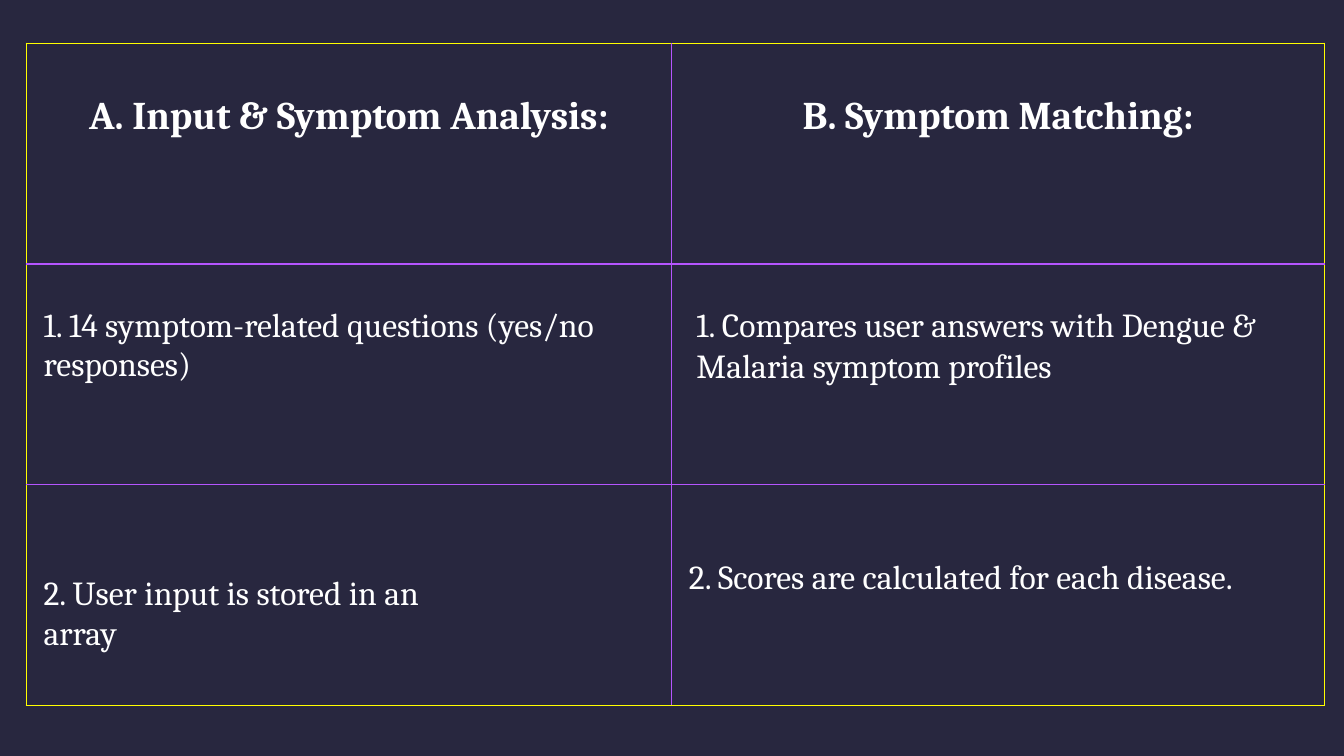
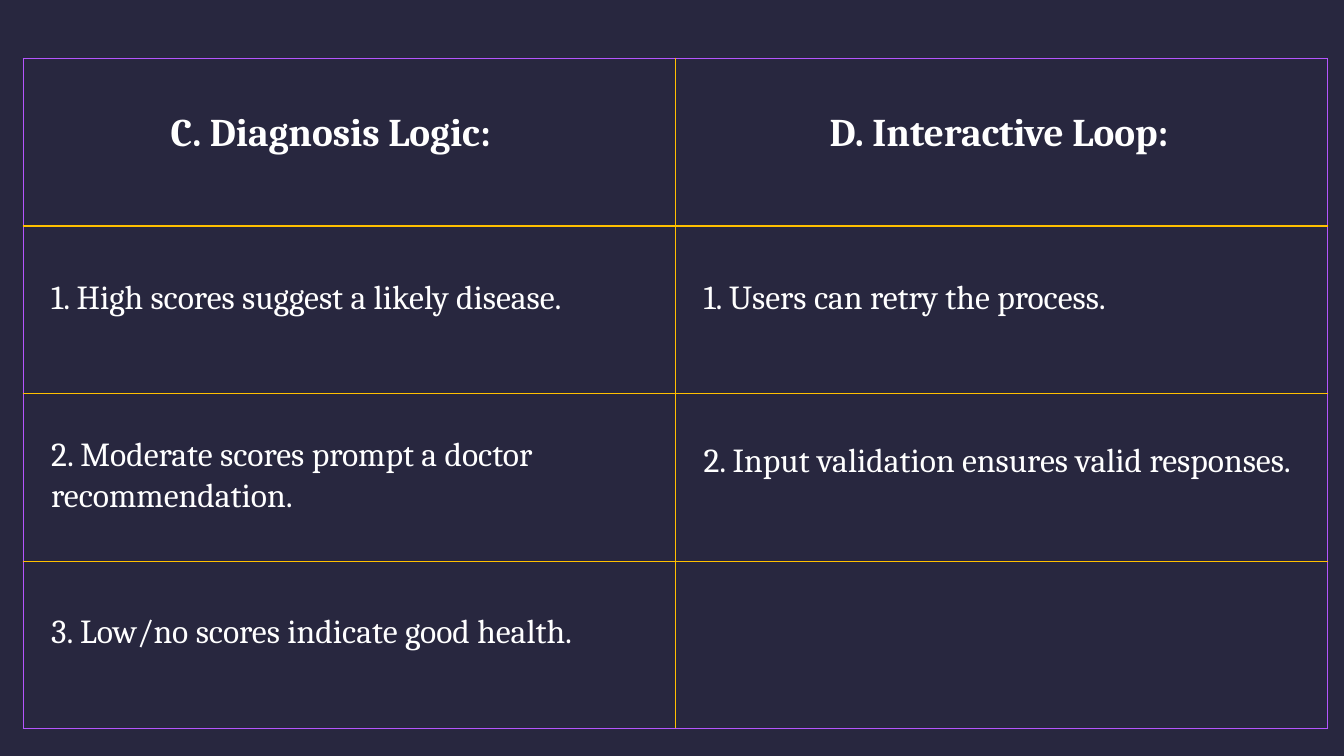
import dataclasses

import lxml.etree
import pptx
import pptx.dml.color
import pptx.enum.shapes
import pptx.enum.text
import pptx.oxml.ns
import pptx.util

# Shared look
NAVY = pptx.dml.color.RGBColor(0x28, 0x27, 0x3F)
WHITE = pptx.dml.color.RGBColor(0xFF, 0xFF, 0xFF)
YELLOW = pptx.dml.color.RGBColor(0xFF, 0xFF, 0x00)
GOLD = pptx.dml.color.RGBColor(0xFF, 0xC0, 0x00)
PURPLE = pptx.dml.color.RGBColor(0xB5, 0x55, 0xFE)
FONT = "Cambria"
HEADING_SIZE = pptx.util.Pt(28)
BODY_SIZE = pptx.util.Pt(24)
SLIDE_WIDTH = pptx.util.Inches(13.33)
SLIDE_HEIGHT = pptx.util.Inches(7.5)
BORDER_WIDTH = pptx.util.Pt(1)

# Text box sizes in inches
BOX_WIDTH = 6.06
HEADING_HEIGHT = 0.57
ONE_LINE = 0.5
TWO_LINES = 0.91


@dataclasses.dataclass
class Grid:
    left: float
    top: float
    columns: tuple
    row_count: int
    height: float
    outer: pptx.dml.color.RGBColor
    inner: pptx.dml.color.RGBColor


def add_dark_slide(presentation):
    slide = presentation.slides.add_slide(presentation.slide_layouts[6])
    backdrop = slide.shapes.add_shape(
        pptx.enum.shapes.MSO_SHAPE.RECTANGLE, 0, 0, SLIDE_WIDTH, SLIDE_HEIGHT)
    backdrop.shadow.inherit = False
    backdrop.fill.solid()
    backdrop.fill.fore_color.rgb = NAVY
    backdrop.line.fill.background()
    return slide


def write_text(text_frame, text, heading):
    text_frame.text = text
    for paragraph in text_frame.paragraphs:
        if heading:
            paragraph.alignment = pptx.enum.text.PP_ALIGN.CENTER
        for run in paragraph.runs:
            run.font.name = FONT
            run.font.size = HEADING_SIZE if heading else BODY_SIZE
            run.font.bold = heading
            run.font.color.rgb = WHITE


def add_text_box(slide, text, left, top, width, height, heading=False):
    box = slide.shapes.add_textbox(
        *[pptx.util.Inches(length) for length in (left, top, width, height)])
    box.text_frame.word_wrap = True
    box.text_frame.auto_size = pptx.enum.text.MSO_AUTO_SIZE.SHAPE_TO_FIT_TEXT
    write_text(box.text_frame, text, heading)


def set_borders(cell, colors):
    """Draw the left, right, top and bottom border, in that order."""
    properties = cell._tc.get_or_add_tcPr()
    for side, color in zip("LRTB", colors):
        line = lxml.etree.SubElement(
            properties, pptx.oxml.ns.qn(f"a:ln{side}"), w=str(int(BORDER_WIDTH)))
        fill = lxml.etree.SubElement(line, pptx.oxml.ns.qn("a:solidFill"))
        lxml.etree.SubElement(fill, pptx.oxml.ns.qn("a:srgbClr"), val=str(color))


def add_grid_table(slide, grid):
    """Add a table with one frame colour and one colour for inner lines."""
    column_count = len(grid.columns)
    table = slide.shapes.add_table(
        grid.row_count, column_count,
        pptx.util.Inches(grid.left), pptx.util.Inches(grid.top),
        pptx.util.Inches(sum(grid.columns)), pptx.util.Inches(grid.height)).table
    table.first_row = False
    table.horz_banding = False
    for column, width in zip(table.columns, grid.columns):
        column.width = pptx.util.Inches(width)

    for row_index, row in enumerate(table.rows):
        row.height = pptx.util.Inches(grid.height / grid.row_count)
        for column_index, cell in enumerate(row.cells):
            on_frame = (column_index == 0, column_index == column_count - 1,
                        row_index == 0, row_index == grid.row_count - 1)
            set_borders(cell, [grid.outer if edge else grid.inner for edge in on_frame])
            cell.fill.background()
    return table


def fill_cell(cell, text, margin_top, heading=False):
    cell.margin_top = pptx.util.Inches(margin_top)
    write_text(cell.text_frame, text, heading)


def add_matching_slide(presentation):
    slide = add_dark_slide(presentation)
    grid = Grid(0.26, 0.43, (6.4, 6.48), 3, 6.57, outer=YELLOW, inner=PURPLE)
    table = add_grid_table(slide, grid)

    # Text in the table
    for column, heading in enumerate(
            ("A. Input & Symptom Analysis:", "B. Symptom Matching:")):
        fill_cell(table.cell(0, column), heading, 0.5, heading=True)
    fill_cell(table.cell(1, 0),
              " 1. 14 symptom-related questions (yes/no\n responses)", 0.43)
    fill_cell(table.cell(2, 1), " 2. Scores are calculated for each disease.", 0.74)

    # Text over the table
    add_text_box(slide, " 2. User input is stored in an\n array",
                 grid.left, 5.62, 4.89, TWO_LINES)
    add_text_box(slide, "1. Compares user answers with Dengue & Malaria symptom profiles",
                 6.81, 2.97, BOX_WIDTH, TWO_LINES)


def add_diagnosis_slide(presentation):
    slide = add_dark_slide(presentation)
    left, right = 0.41, 6.88
    heading_top, first_top = 1.02, 2.69

    # Diagnosis heading lies behind the table
    add_text_box(slide, "C. Diagnosis Logic:", 0.67, heading_top, 5.22,
                 HEADING_HEIGHT, heading=True)
    add_grid_table(
        slide, Grid(0.23, 0.58, (6.47, 6.47), 4, 6.65, outer=PURPLE, inner=GOLD))

    add_text_box(slide, "D. Interactive Loop:", right, heading_top, BOX_WIDTH,
                 HEADING_HEIGHT, heading=True)
    for text, box_left, top, height in (
            ("1. High scores suggest a likely disease.", left, first_top, ONE_LINE),
            ("2. Moderate scores prompt a doctor recommendation.", left, 4.25, TWO_LINES),
            ("3. Low/no scores indicate good health.", left, 6, ONE_LINE),
            ("1. Users can retry the process.", right, first_top, ONE_LINE),
            ("2. Input validation ensures valid responses.", right, 4.3, TWO_LINES)):
        add_text_box(slide, text, box_left, top, BOX_WIDTH, height)


def main():
    presentation = pptx.Presentation()
    presentation.slide_width = SLIDE_WIDTH
    presentation.slide_height = SLIDE_HEIGHT
    add_matching_slide(presentation)
    add_diagnosis_slide(presentation)
    presentation.save("out.pptx")


if __name__ == "__main__":
    main()
